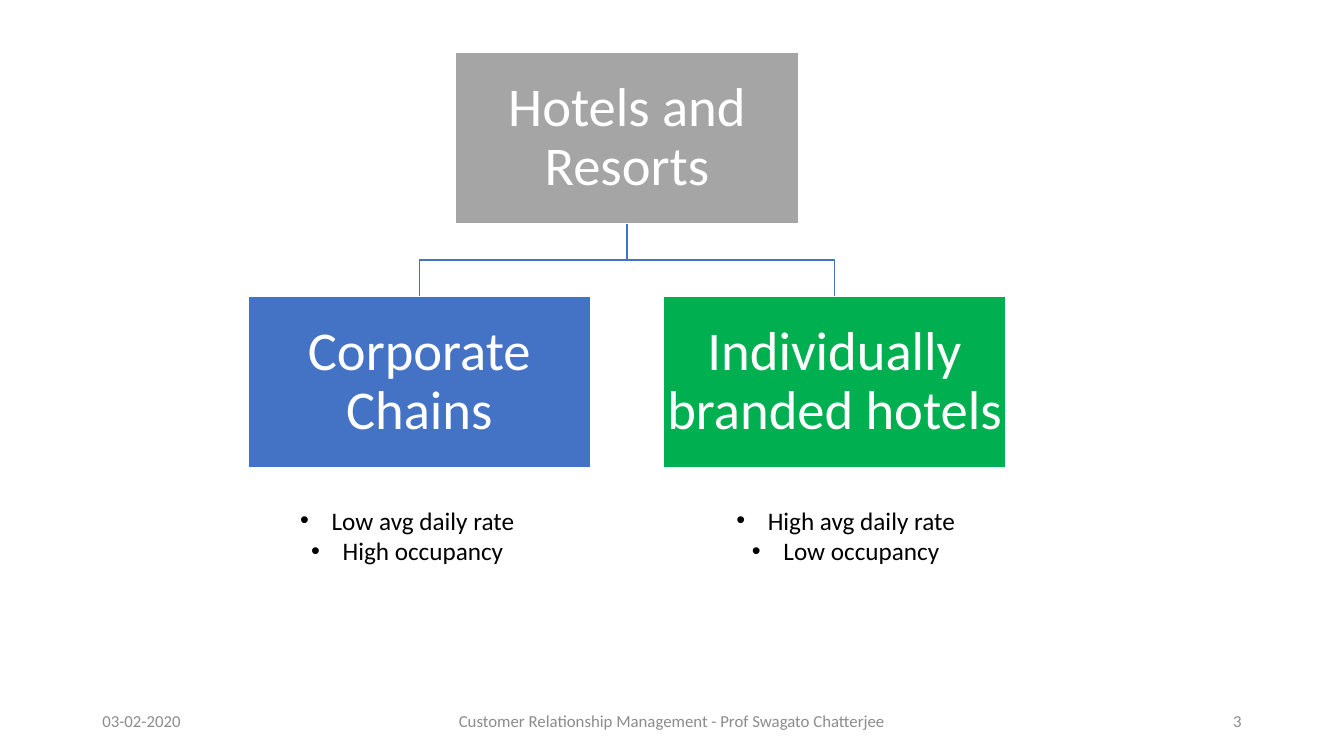
"""Builds the hotel types hierarchy slide."""
from dataclasses import dataclass

from lxml import etree
from pptx import Presentation
from pptx import util as u
from pptx.dml.color import RGBColor
from pptx.enum import shapes, text
from pptx.oxml import ns


@dataclass(frozen=True)
class Theme:
    font: str = "Calibri"
    white: str = "FFFFFF"
    black: str = "000000"
    muted: str = "8C8C8C"
    grey: str = "A5A5A5"
    blue: str = "4472C4"
    green: str = "00B050"
    box_size: int = 39
    bullet_size: int = 18
    footer_size: int = 12


Pt = u.Pt
RGB = RGBColor.from_string
ALIGN = text.PP_ALIGN
theme = Theme()


def write(tf, content, size, color, align, anchor=text.MSO_ANCHOR.MIDDLE):
    tf.word_wrap = True
    tf.vertical_anchor = anchor
    tf.text = content
    for p in tf.paragraphs:
        p.alignment = align
        for r in p.runs:
            r.font.name = theme.font
            r.font.size = Pt(size)
            r.font.color.rgb = RGB(color)


prs = Presentation()
prs.slide_width, prs.slide_height = Pt(960), Pt(540)
s = prs.slides.add_slide(prs.slide_layouts[6])

footers = [
    (66, 216, "03-02-2020", ALIGN.LEFT),
    (318, 324, "Customer Relationship Management - Prof Swagato Chatterjee", ALIGN.CENTER),
    (678, 216, "3", ALIGN.RIGHT),
]
for left, width, content, align in footers:
    sp = s.shapes.add_textbox(Pt(left), Pt(500.5), Pt(width), Pt(28.75))
    write(sp.text_frame, content, theme.footer_size, theme.muted, align)

box_w, box_h, gap = 244.8, 122.4, 51.84
root_x, root_top = 447.84, 37.44
root_bottom = root_top + box_h
child_top = root_bottom + gap
offset = (box_w + gap) / 2
left_x, right_x = root_x - offset, root_x + offset

for child_x in (right_x, left_x):
    mid_y = root_bottom + gap / 2
    route = [(root_x, mid_y), (child_x, mid_y), (child_x, child_top)]
    branch = s.shapes.build_freeform(Pt(root_x), Pt(root_bottom))
    branch.add_line_segments([(Pt(x), Pt(y)) for x, y in route], close=False)
    sp = branch.convert_to_shape()
    sp.shadow.inherit = False
    sp.fill.background()
    sp.line.color.rgb = RGB(theme.blue)
    sp.line.width = Pt(1)

boxes = [
    (root_x, root_top, "Hotels and Resorts", theme.grey),
    (left_x, child_top, "Corporate Chains", theme.blue),
    (right_x, child_top, "Individually branded hotels", theme.green),
]
for center_x, top, content, color in boxes:
    sp = s.shapes.add_shape(shapes.MSO_SHAPE.RECTANGLE, Pt(center_x - box_w / 2), Pt(top),
                            Pt(box_w), Pt(box_h))
    sp.shadow.inherit = False
    sp.fill.solid()
    sp.fill.fore_color.rgb = RGB(color)
    sp.line.color.rgb = RGB(theme.white)
    sp.line.width = Pt(1)
    tf = sp.text_frame
    tf.margin_left = tf.margin_right = tf.margin_top = tf.margin_bottom = Pt(2)
    write(tf, content, theme.box_size, theme.white, ALIGN.CENTER)
    tf.paragraphs[0].line_spacing = 0.9

bullet_lists = [
    (152.64, "Low avg daily rate\nHigh occupancy"),
    (465.84, "High avg daily rate\nLow occupancy"),
]
for left, content in bullet_lists:
    sp = s.shapes.add_textbox(Pt(left), Pt(357.12), Pt(276.48), Pt(51.12))
    tf = sp.text_frame
    write(tf, content, theme.bullet_size, theme.black, ALIGN.CENTER, text.MSO_ANCHOR.TOP)
    tf.auto_size = text.MSO_AUTO_SIZE.SHAPE_TO_FIT_TEXT
    for p in tf.paragraphs:
        pPr = p._p.get_or_add_pPr()
        pPr.set("marL", str(Pt(22.5)))
        pPr.set("indent", str(-Pt(22.5)))
        etree.SubElement(pPr, ns.qn("a:buFont"), typeface="Arial")
        etree.SubElement(pPr, ns.qn("a:buChar"), char="•")

prs.save("out.pptx")
